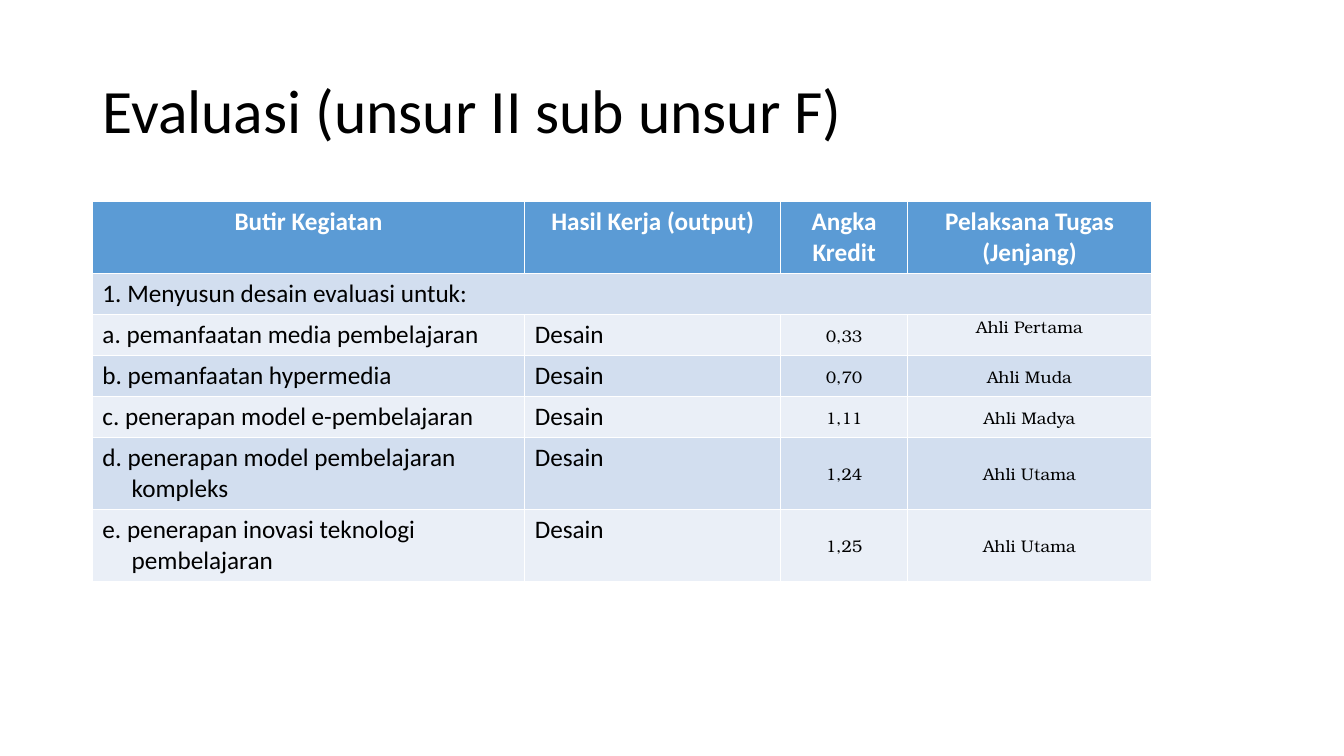
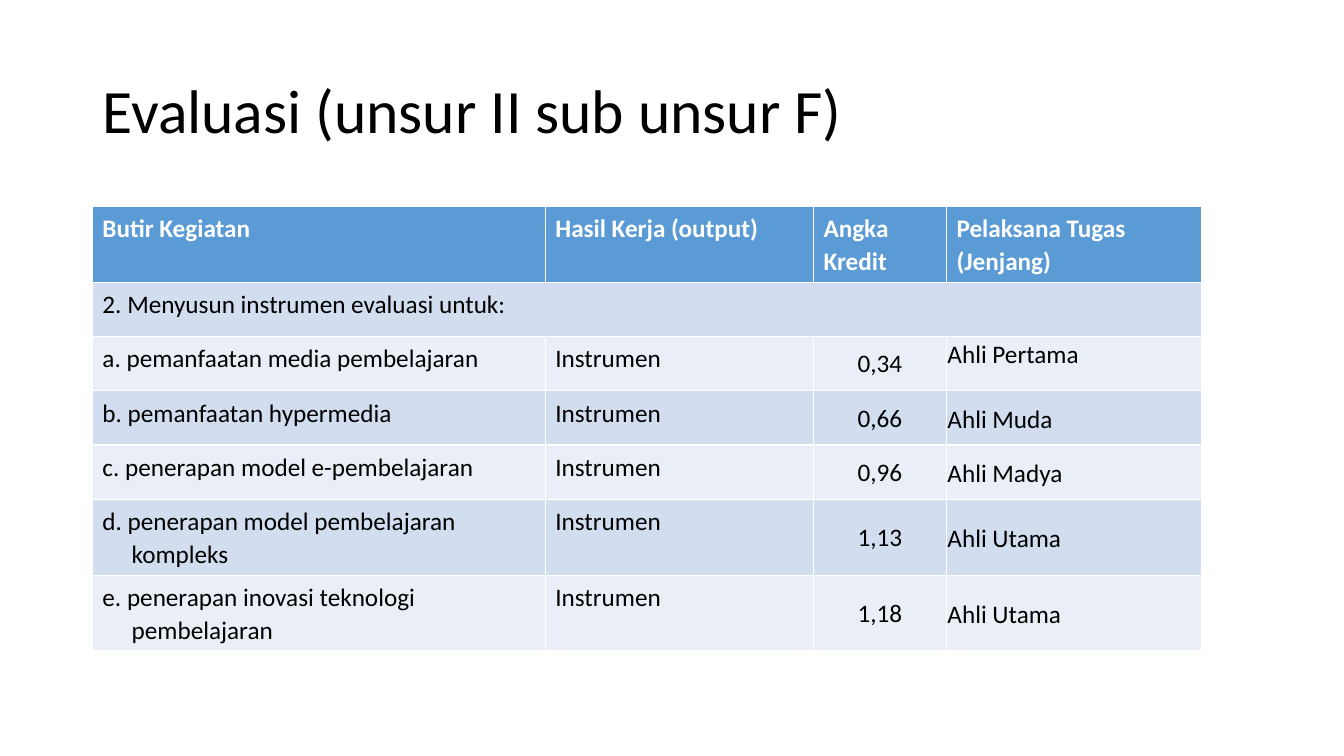
from dataclasses import dataclass

from pptx import Presentation
from pptx.dml.color import RGBColor as Color
from pptx.enum.text import MSO_ANCHOR as Anchor, MSO_AUTO_SIZE as AutoSize, PP_ALIGN as Align
from pptx.util import Inches, Pt

UNITS_PER_INCH = 12
GRID_COLUMNS, GRID_ROWS = 160, 90
TITLE_BOX = (11, 4.8, 138, 17.4)
COLUMN_WEIGHTS = (4.29, 2.54, 1.26, 2.42)
TITLE = "Evaluasi (unsur II sub unsur F)"
HEADINGS = ("Butir Kegiatan", "Hasil Kerja (output)", "Angka Kredit", "Pelaksana Tugas (Jenjang)")
ACTIVITIES = (
    "a. pemanfaatan media pembelajaran",
    "b. pemanfaatan hypermedia",
    "c. penerapan model e-pembelajaran",
    "d. penerapan model pembelajaran kompleks",
    "e. penerapan inovasi teknologi pembelajaran",
)
LEVELS = ("Ahli Pertama", "Ahli Muda", "Ahli Madya", "Ahli Utama", "Ahli Utama")


@dataclass(frozen=True)
class Theme:
    ink: Color = Color.from_string("000000")
    paper: Color = Color.from_string("FFFFFF")
    header: Color = Color.from_string("5B9BD5")
    bands: tuple = (Color.from_string("EAEFF7"), Color.from_string("D2DEEF"))
    font: str = "Calibri"
    serif: str = "TeX Gyre Bonum"
    title_size: Pt = Pt(44)
    body_size: Pt = Pt(18)
    small_size: Pt = Pt(12)
    hanging: Inches = Inches(0.29)


THEME = Theme()
TIGHT_MARGINS = dict.fromkeys(("margin_left", "margin_right", "margin_top"), Inches(0.01))
TIGHT_MARGINS["margin_bottom"] = 0
LOOSE = {"line_spacing": 1.07, "space_after": Pt(8)}
CENTERED = {"alignment": Align.CENTER}
SMALL_SERIF = {"name": THEME.serif, "size": THEME.small_size}


@dataclass(frozen=True)
class TableStyle:
    """Paragraph formats by kind of cell, and font overrides for the figures."""
    header: dict
    body: dict
    level: dict
    figures: dict


COMPACT = TableStyle(header=CENTERED, body={}, level=CENTERED, figures=SMALL_SERIF)
SPACIOUS = TableStyle(header=LOOSE, body=LOOSE, level=LOOSE, figures={})


def grid(units):
    return Inches(units / UNITS_PER_INCH)


def apply_format(target, values):
    for name, value in values.items():
        setattr(target, name, value)


class Deck:
    def __init__(self, theme):
        self.theme = theme
        self.presentation = Presentation()
        self.presentation.slide_width = grid(GRID_COLUMNS)
        self.presentation.slide_height = grid(GRID_ROWS)
        self.slide = None

    def add_slide(self, title):
        layout = self.presentation.slide_layouts.get_by_name("Title Only")
        self.slide = self.presentation.slides.add_slide(layout)
        shape = self.slide.shapes.title
        apply_format(shape, dict(zip(("left", "top", "width", "height"), map(grid, TITLE_BOX))))
        apply_format(shape.text_frame, {
            "vertical_anchor": Anchor.MIDDLE, "word_wrap": True, "auto_size": AutoSize.NONE})
        self.set_text(shape.text_frame, title, {"alignment": Align.LEFT, "line_spacing": 0.9},
                      {"size": self.theme.title_size})

    def set_text(self, text_frame, text, paragraph_format, font_format):
        text_frame.text = text
        paragraph = text_frame.paragraphs[0]
        apply_format(paragraph, paragraph_format)
        font = paragraph.runs[0].font
        font.color.rgb = font_format.get("color", self.theme.ink)
        defaults = {"name": self.theme.font, "size": self.theme.body_size, "bold": False}
        changes = {name: value for name, value in font_format.items() if name != "color"}
        apply_format(font, defaults | changes)
        return paragraph

    def hang(self, paragraph):
        """Indent the lines after the first."""
        properties = paragraph._p.get_or_add_pPr()
        properties.set("marL", str(self.theme.hanging))
        properties.set("indent", str(-self.theme.hanging))

    def add_table(self, box, section, output, credits, style):
        """Box holds left, top, width and row height in grid units."""
        left, top, width, row_height = map(grid, box)
        row_count = len(ACTIVITIES) + 2
        table = self.slide.shapes.add_table(
            row_count, len(HEADINGS), left, top, width, row_height * row_count).table
        for column, weight in zip(table.columns, COLUMN_WEIGHTS):
            column.width = round(width * weight / sum(COLUMN_WEIGHTS))
        for index, row in enumerate(table.rows):
            row.height = row_height
            for cell in row.cells:
                cell.fill.solid()
                cell.fill.fore_color.rgb = self.theme.bands[index % 2] if index else self.theme.header

        for column, heading in enumerate(HEADINGS):
            self.set_text(table.cell(0, column).text_frame, heading, style.header,
                          {"color": self.theme.paper, "bold": True})
        table.cell(1, 0).merge(table.cell(1, len(HEADINGS) - 1))
        self.set_text(table.cell(1, 0).text_frame, section, style.body, {})

        for index, (activity, credit, level) in enumerate(zip(ACTIVITIES, credits, LEVELS), 2):
            activity_cell, output_cell, credit_cell, level_cell = (
                table.cell(index, column) for column in range(len(HEADINGS)))
            self.hang(self.set_text(activity_cell.text_frame, activity, style.body, {}))
            self.set_text(output_cell.text_frame, output, style.body, {})
            self.set_text(credit_cell.text_frame, credit, CENTERED, style.figures)
            self.set_text(level_cell.text_frame, level, style.level, style.figures)
            for cell in (credit_cell, level_cell):
                apply_format(cell, TIGHT_MARGINS | {"vertical_anchor": Anchor.MIDDLE})
        table.cell(2, 3).vertical_anchor = Anchor.TOP


def main():
    deck = Deck(THEME)
    deck.add_slide(TITLE)
    deck.add_table((11, 24, 126.1, 4.9), "1. Menyusun desain evaluasi untuk:", "Desain",
                   ("0,33", "0,70", "1,11", "1,24", "1,25"), COMPACT)
    deck.add_slide(TITLE)
    deck.add_table((11, 24.6, 132.1, 6.45), "2. Menyusun instrumen evaluasi untuk:", "Instrumen",
                   ("0,34", "0,66", "0,96", "1,13", "1,18"), SPACIOUS)
    deck.presentation.save("out.pptx")


if __name__ == "__main__":
    main()
